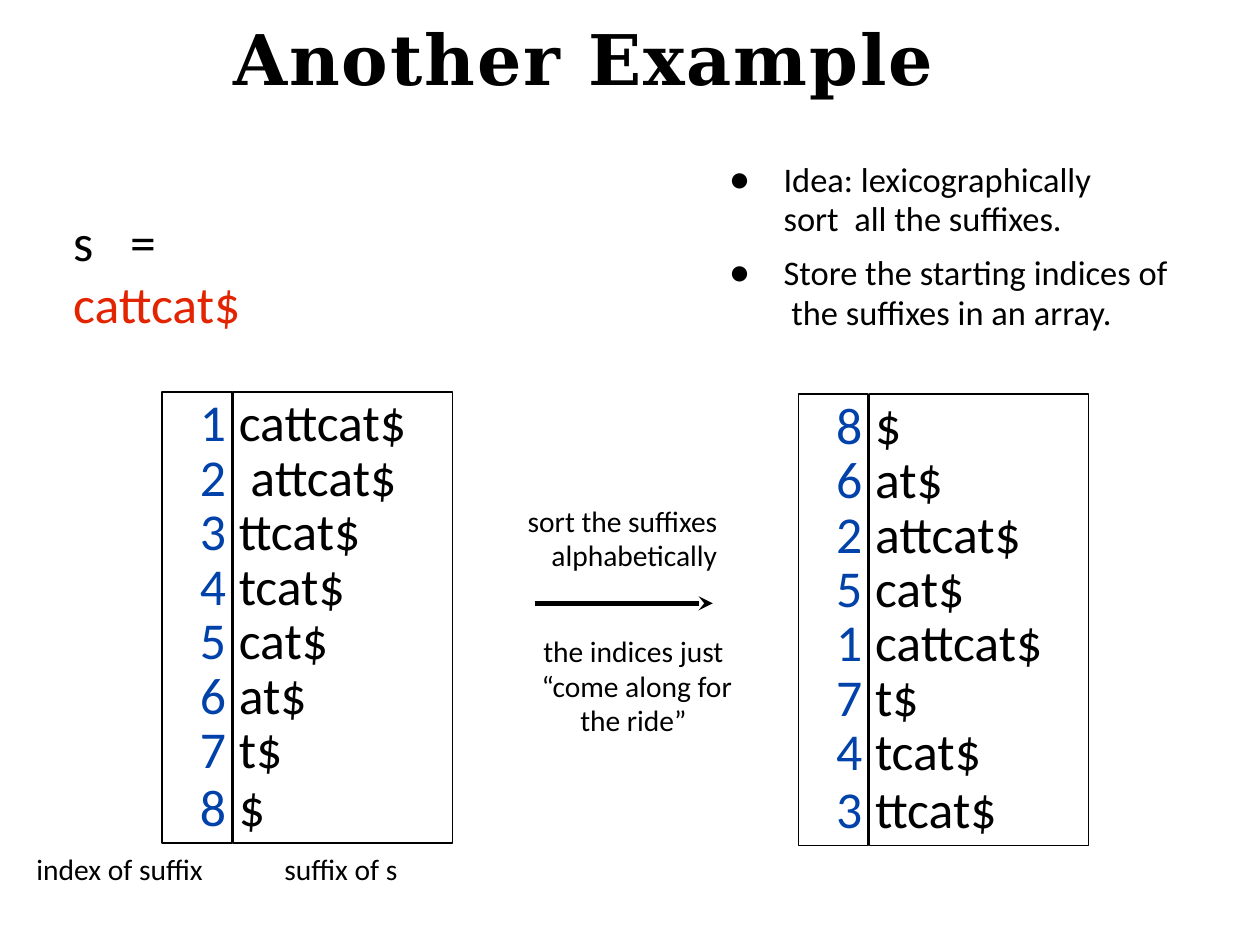
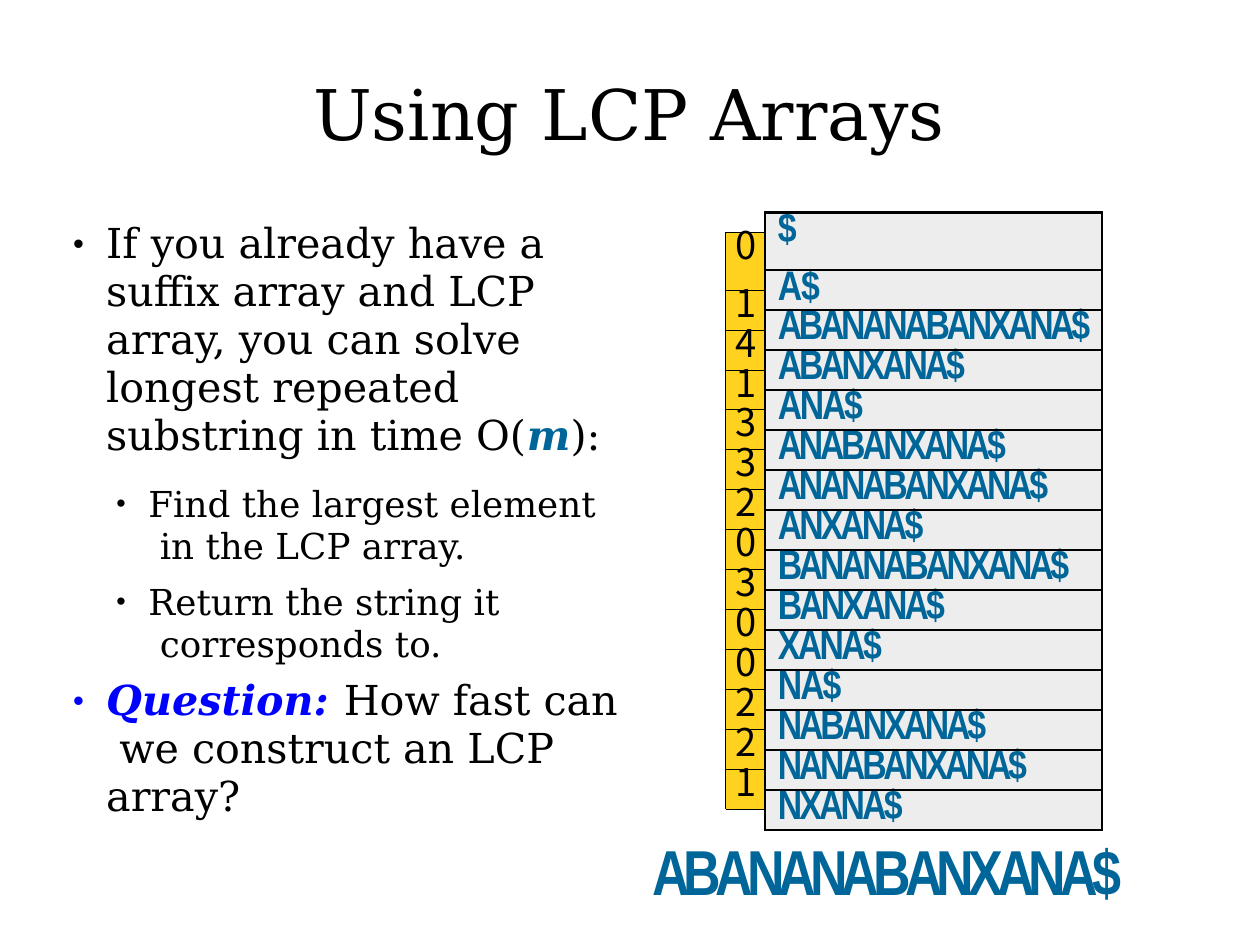
from lxml import etree
from pptx import Presentation
from pptx.dml.color import RGBColor
from pptx.enum import shapes, text
from pptx.oxml.ns import qn
from pptx.util import Inches, Pt

# Shared style
BLACK, RED, INDEX_BLUE, LCP_BLUE, LINK_BLUE = "000000", "E32400", "0042AA", "006699", "0000FF"
YELLOW, GREY = "FFD21F", "EDEDED"
SERIF = {"name": "DejaVu Serif", "size": 26}
SANS = {"name": "Calibri", "size": 18.6}
BIG = {**SANS, "size": 32.6}
NARROW = {"name": "Arial Narrow", "size": 26, "color": LCP_BLUE, "bold": True}
TITLE = {**SERIF, "size": 44}
LEFT, CENTER = text.PP_ALIGN.LEFT, text.PP_ALIGN.CENTER

# Content, slide 1
IDEAS = ["Idea: lexicographically\nsort  all the suffixes.",
         "Store the starting indices of\n the suffixes in an array."]
UNSORTED = ["cattcat$", " attcat$", "ttcat$", "tcat$", "cat$", "at$", "t$", "$"]
SORTED = [(8, "$"), (6, "at$"), (2, "attcat$"), (5, "cat$"),
          (1, "cattcat$"), (7, "t$"), (4, "tcat$"), (3, "ttcat$")]
SUFFIX_LISTS = [(1.42, 3.43, list(enumerate(UNSORTED, 1))), (6.99, 3.45, SORTED)]
CAPTIONS = [("index of suffix", 0.31, 1.6), ("suffix of s", 2.48, 1.2)]

# Content, slide 2
EM = {"bold": True, "italic": True}
POINT = {"spacing": 0.97, "indent": (0.3, -0.29)}
SUBPOINT = {"spacing": Pt(26.4), "indent": (0.67, -0.28)}
BODY = [
    (POINT, 0, 26, [("If you already have a\nsuffix array and LCP\narray, you can solve\n"
                     "longest repeated\nsubstring in time O(", {}),
                    ("m", {**EM, "color": LCP_BLUE}), ("):", {})]),
    (SUBPOINT, 14, 22.5, [("Find the largest element\n in the LCP array.", {})]),
    (SUBPOINT, 9.2, 22.5, [("Return the string it\n corresponds to.", {})]),
    (POINT, 7.8, 26, [("Question: ", {**EM, "color": LINK_BLUE}),
                      ("How fast can\n we construct an LCP\narray?", {})]),
]
SUFFIXES = ["$", "A$", "ABANANABANXANA$", "ABANXANA$", "ANA$", "ANABANXANA$",
            "ANANABANXANA$", "ANXANA$", "BANANABANXANA$", "BANXANA$", "XANA$",
            "NA$", "NABANXANA$", "NANABANXANA$", "NXANA$"]
LCP = [0, 1, 4, 1, 3, 3, 2, 0, 3, 0, 0, 2, 2, 1]


def rgb(value):
    return RGBColor.from_string(value)


def add_text(p, string, name, size, color=BLACK, spc=0, **flags):
    """Add runs to a paragraph, one for each line of the string."""
    for i, line in enumerate(string.split("\n")):
        if i:
            p.add_line_break()
        r = p.add_run()
        r.text = line
        for key, value in {"name": name, "size": Pt(size), **flags}.items():
            setattr(r.font, key, value)
        r.font.color.rgb = rgb(color)
        if spc:
            r._r.get_or_add_rPr().set("spc", str(round(spc * 100)))


def format_paragraph(p, indent=(0, 0), spacing=None, before=0, align=LEFT,
                     bullet=None, tabs=()):
    for key, value in {"alignment": align, "line_spacing": spacing,
                       "space_before": Pt(before)}.items():
        setattr(p, key, value)
    pPr = p._p.get_or_add_pPr()
    for key, value in zip(("marL", "indent"), indent):
        pPr.set(key, str(Inches(value)))
    if bullet:
        font, percent = bullet
        for tag, attrs in (("buSzPct", {"val": str(percent * 1000)}),
                           ("buFont", {"typeface": font}), ("buChar", {"char": "•"})):
            etree.SubElement(pPr, qn("a:" + tag), attrs)
    if tabs:
        tab_list = etree.SubElement(pPr, qn("a:tabLst"))
        for pos in tabs:
            etree.SubElement(tab_list, qn("a:tab"), pos=str(Inches(pos)), algn="l")


def setup_frame(tf, top=0.01):
    for key, value in {"margin_left": 0, "margin_right": 0, "margin_bottom": 0,
                       "margin_top": Inches(top), "word_wrap": True,
                       "auto_size": text.MSO_AUTO_SIZE.NONE,
                       "vertical_anchor": text.MSO_ANCHOR.TOP}.items():
        setattr(tf, key, value)
    return tf


def paragraphs(tf):
    """Yield the first paragraph of a frame, then new ones."""
    yield tf.paragraphs[0]
    while True:
        yield tf.add_paragraph()


def add_box(slide, x, y, w, h, top=0.01):
    return setup_frame(slide.shapes.add_textbox(*map(Inches, (x, y, w, h))).text_frame, top)


def add_label(slide, box, string, font, top=0.01, **layout):
    p = add_box(slide, *box, top=top).paragraphs[0]
    format_paragraph(p, **layout)
    add_text(p, string, **font)
    return p


def add_slide(prs, title, box, **font):
    slide = prs.slides.add_slide(prs.slide_layouts[5])
    sp = slide.shapes.title
    sp.left, sp.top, sp.width, sp.height = map(Inches, box)
    p = setup_frame(sp.text_frame).paragraphs[0]
    format_paragraph(p, align=CENTER)
    add_text(p, title, **TITLE, **font)
    return slide


def add_column(slide, x, y, w, lines, indent, color):
    """Draw one outlined column of a suffix list."""
    sp = slide.shapes.add_shape(shapes.MSO_SHAPE.RECTANGLE, *map(Inches, (x, y, w, 3.95)))
    sp.shadow.inherit = False
    sp.fill.background()
    sp.line.color.rgb, sp.line.width = rgb(BLACK), Pt(1)
    tf = setup_frame(sp.text_frame, 0.02)
    for i, (p, line) in enumerate(zip(paragraphs(tf), map(str, lines))):
        pitch = 36.6 if i in (0, len(lines) - 1) else 34.3
        format_paragraph(p, indent=(indent, 0), spacing=Pt(pitch))
        add_text(p, line, **BIG, color=color)


def set_borders(cell, **widths):
    tcPr = cell._tc.get_or_add_tcPr()
    sides = [s for s in "LRTB" if s in widths]
    for i, side in enumerate(sides):
        ln = etree.Element(qn("a:ln" + side), w=str(Pt(widths[side])))
        fill = etree.SubElement(ln, qn("a:solidFill"))
        etree.SubElement(fill, qn("a:srgbClr"), val=BLACK)
        tcPr.insert(i, ln)


def add_example_slide(prs):
    slide = add_slide(prs, "Another Example", (1.6, 0.13, 7.02, 0.75), bold=True, spc=1.2)

    # Idea and string
    tf = add_box(slide, 6.36, 1.36, 4.1, 1.57, 0.04)
    for i, (p, idea) in enumerate(zip(paragraphs(tf), IDEAS)):
        format_paragraph(p, indent=(0.5, -0.48), spacing=Pt(24.8),
                         before=9.3 if i else 0, bullet=("Calibri", 125))
        add_text(p, idea, **{**SANS, "size": 21.7})
    p = add_label(slide, (0.63, 1.83, 2.4, 0.56), "s\t=\t", BIG,
                  indent=(0.01, 0), tabs=(0.31, 0.7))
    add_text(p, "cattcat$", **BIG, color=RED)

    # Suffix lists
    for x, y, rows in SUFFIX_LISTS:
        indices, suffixes = zip(*rows)
        add_column(slide, x, y, 0.61, indices, 0.33, INDEX_BLUE)
        add_column(slide, x + 0.62, y, 1.92, suffixes, 0.05, BLACK)
    for caption, x, w in CAPTIONS:
        add_label(slide, (x, 7.44, w, 0.32), caption, SANS, indent=(0.01, 0))

    # Sorting arrow
    arrow = slide.shapes.add_connector(shapes.MSO_CONNECTOR.STRAIGHT,
                                       *map(Inches, (4.68, 5.28, 6.24, 5.28)))
    arrow.line.color.rgb, arrow.line.width = rgb(BLACK), Pt(3)
    etree.SubElement(arrow.line._get_or_add_ln(), qn("a:tailEnd"), type="stealth")
    etree.SubElement(arrow._element.spPr, qn("a:effectLst"))
    add_label(slide, (4.61, 4.38, 1.8, 0.65), "sort the suffixes\n alphabetically", SANS,
              top=0.03, indent=(0.16, -0.15), spacing=Pt(21.7))
    add_label(slide, (4.67, 5.52, 1.75, 0.95),
              "the indices just\n “come along for\nthe ride”", SANS,
              top=0.03, spacing=Pt(21.7), align=CENTER)


def add_lcp_table(slide):
    """Staggered table: suffixes start on even rows, LCP values on odd rows."""
    count = 2 * len(SUFFIXES)
    frame = slide.shapes.add_table(count, 2, *map(Inches, (6.35, 1.86, 3.3, 5.4)))
    table = frame.table
    table.first_row = table.horz_banding = False
    for col, width in zip(table.columns, (0.35, 2.95)):
        col.width = Inches(width)
    for i, row in enumerate(table.rows):
        row.height = Inches(0.33 if i == 1 else 0.17 + 0.01 * (i % 2))

    entries = {(2 * i, 1): (s, GREY, 0.11, {**NARROW, "spc": min(0, round(3.3 / len(s) - 2.35, 1))})
               for i, s in enumerate(SUFFIXES)}
    entries.update({(2 * i + 1, 0): (str(n), YELLOW, 0.09, {"name": "Noto Sans CJK SC", "size": 24})
                    for i, n in enumerate(LCP)})
    for r in range(count):
        for c in range(2):
            cell = table.cell(r, c)
            cell.margin_left = cell.margin_right = cell.margin_top = cell.margin_bottom = 0
            p = cell.text_frame.paragraphs[0]
            if (r, c) in entries:
                string, fill, indent, font = entries[r, c]
                cell.merge(table.cell(r + 1, c))
                format_paragraph(p, indent=(indent, 0), spacing=Pt(24.2))
                add_text(p, string, **font)
            else:
                etree.SubElement(p._p, qn("a:endParaRPr"), sz="800")
            if c == 0 and r in (0, count - 1):
                cell.fill.background()
                set_borders(cell, R=1.5, **{"T" if r else "B": 0.25})
            else:
                cell.fill.solid()
                cell.fill.fore_color.rgb = rgb(GREY if c else YELLOW)
                thin = 1.5 if c else 0.25
                set_borders(cell, L=thin, R=1.5, T=thin, B=thin)


def add_lcp_slide(prs):
    slide = add_slide(prs, "Using LCP Arrays", (2.51, 0.61, 6, 0.76))
    tf = add_box(slide, 0.63, 1.9, 5, 5.3, 0.03)
    for p, (layout, before, size, runs) in zip(paragraphs(tf), BODY):
        format_paragraph(p, **layout, before=before, bullet=("Arial", 75))
        for string, style in runs:
            add_text(p, string, **{**SERIF, "size": size, **style})
    add_lcp_table(slide)
    add_label(slide, (5.7, 7.27, 4.4, 0.69), SUFFIXES[2],
              {**NARROW, "size": 40, "spc": -3.7}, indent=(0.01, 0))


def main():
    prs = Presentation()
    prs.slide_width, prs.slide_height = Inches(11.03), Inches(8.27)
    add_example_slide(prs)
    add_lcp_slide(prs)
    prs.save("out.pptx")


if __name__ == "__main__":
    main()
